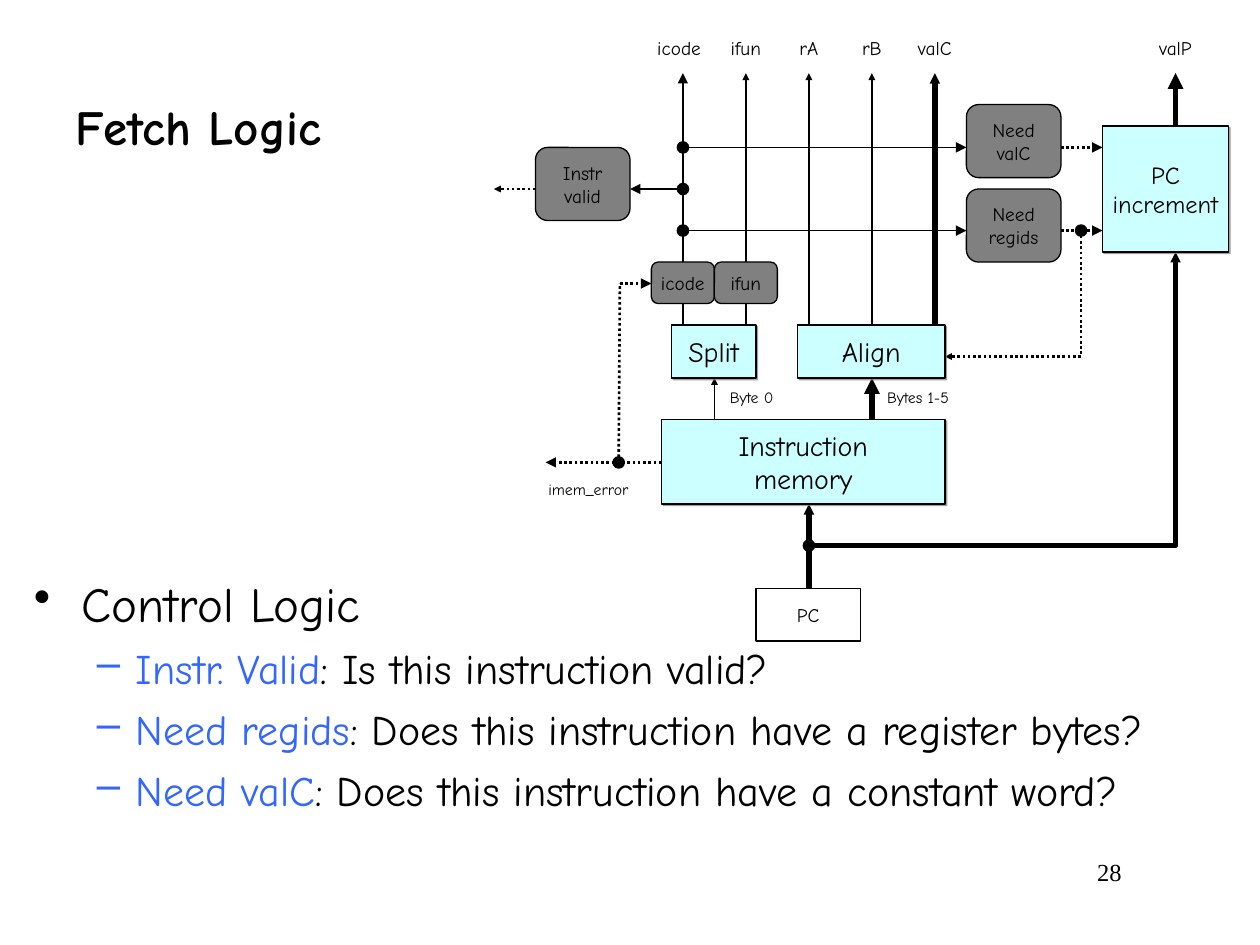
"""Build the Fetch Logic slide: a wiring diagram above a list of control signals."""
import lxml.etree
import pptx
import pptx.dml.color
import pptx.enum.dml
import pptx.enum.shapes
import pptx.enum.text
import pptx.oxml.ns
import pptx.util

Inches, Pt = pptx.util.Inches, pptx.util.Pt
SHAPE = pptx.enum.shapes.MSO_SHAPE
ALIGN = pptx.enum.text.PP_ALIGN
qn = pptx.oxml.ns.qn

THEME = {
    "font": "Comic Neue", "number_font": "Times New Roman",
    "ink": "000000", "accent": "3366FF", "unit": "CCFFFF",
    "control": "808080", "paper": "FFFFFF", "shadow": "808080",
    "title": 28, "topic": 28, "detail": 24, "number": 14,
    "large": 16, "medium": 14, "label": 11, "note": 9,
    "outline": 0.75, "thin": 1, "dotted": 1.5, "thick": 3,
}

TITLE = "Fetch Logic"
PAGE = "28"
TOPIC = "Control Logic"
DETAILS = [
    ("Instr. Valid", ": Is this instruction valid?"),
    ("Need regids", ": Does this instruction have a register bytes?"),
    ("Need valC", ": Does this instruction have a constant word?"),
]

UNITS = [
    ("Instruction\nmemory", (5.25, 3.33, 2.25, 0.67), "large"),
    ("PC\nincrement", (8.75, 1, 1, 1), "medium"),
    ("Align", (6.33, 2.58, 1.17, 0.42), "large"),
    ("Split", (5.33, 2.58, 0.67, 0.42), "large"),
]
CONTROLS = [
    ("Need\nvalC", (7.67, 0.83, 0.75, 0.58)),
    ("Need\nregids", (7.67, 1.5, 0.75, 0.58)),
    ("Instr\nvalid", (4.25, 1.17, 0.75, 0.58)),
    ("icode", (5.17, 2.08, 0.5, 0.33)),
    ("ifun", (5.67, 2.08, 0.5, 0.33)),
]
REGISTER = ("PC", (6, 4.67, 0.83, 0.42))
OUTPUTS = [("icode", 5.39), ("ifun", 5.92), ("rA", 6.42), ("rB", 6.92),
           ("valC", 7.42), ("valP", 9.33)]
NOTES = [("Bytes 1-5", (6.94, 3.03, 0.69, 0.25)),
         ("Byte 0", (5.69, 3.03, 0.55, 0.25))]
ERROR = ("imem_error", (4.17, 3.67, 1, 0.42))

WIRES = [
    ("thick", "med", [(9.33, 1), (9.33, 0.58)]),
    ("thick", "sm", [(6.42, 4.67), (6.42, 4)]),
    ("thick", "sm", [(6.42, 4.33), (9.33, 4.33), (9.33, 2)]),
    ("thick", "sm", [(7.42, 2.58), (7.42, 0.58)]),
    ("thick", "med", [(6.92, 3.33), (6.92, 3)]),
    ("thin", "med", [(5.42, 2.58), (5.42, 0.58)]),
    ("thin", "sm", [(5.92, 2.58), (5.92, 0.58)]),
    ("thin", "sm", [(6.42, 2.58), (6.42, 0.58)]),
    ("thin", "sm", [(6.92, 2.58), (6.92, 0.58)]),
    ("thin", "sm", [(5.67, 3.33), (5.67, 3)]),
    ("thin", "med", [(5.42, 1.17), (7.67, 1.17)]),
    ("thin", "med", [(5.42, 1.83), (7.67, 1.83)]),
    ("thin", "med", [(5.42, 1.5), (5, 1.5)]),
    ("dotted", "med", [(8.42, 1.17), (8.75, 1.17)]),
    ("dotted", "med", [(8.42, 1.83), (8.75, 1.83)]),
    ("dotted", "sm", [(4.25, 1.5), (3.92, 1.5)]),
    ("dotted", "sm", [(8.58, 1.83), (8.58, 2.83), (7.5, 2.83)]),
    ("dotted", "med", [(5.25, 3.67), (4.33, 3.67)]),
    ("dotted", None, [(4.91, 3.67), (4.92, 2.25)]),
    ("dotted", "med", [(4.92, 2.25), (5.17, 2.25)]),
]
JUNCTIONS = [(5.42, 1.17), (5.42, 1.5), (5.42, 1.83), (8.58, 1.83),
             (6.42, 4.33), (4.91, 3.67)]
DOT = 0.09


def rgb(name):
    return pptx.dml.color.RGBColor.from_string(THEME[name])


def add_run(p, text, size, color="ink", font="font", bold=False):
    r = p.add_run()
    r.text = text
    r.font.size, r.font.name, r.font.bold = Pt(THEME[size]), THEME[font], bold
    r.font.color.rgb = rgb(color)


def add_lines(tf, text, size):
    tf.word_wrap = False
    tf.vertical_anchor = pptx.enum.text.MSO_ANCHOR.MIDDLE
    for i, line in enumerate(text.split("\n")):
        p = tf.add_paragraph() if i else tf.paragraphs[0]
        p.alignment = ALIGN.CENTER
        add_run(p, line, size)


def add_textbox(s, at):
    tf = s.shapes.add_textbox(*map(Inches, at)).text_frame
    tf.word_wrap = True
    return tf


def add_box(s, kind, at, fill=None, line=None, text="", size="label"):
    sp = s.shapes.add_shape(kind, *map(Inches, at))
    sp.shadow.inherit = False
    if fill:
        sp.fill.solid()
        sp.fill.fore_color.rgb = rgb(fill)
    else:
        sp.fill.background()
    if line:
        sp.line.color.rgb = rgb("ink")
        sp.line.width = Pt(THEME[line])
    else:
        sp.line.fill.background()
    if text:
        add_lines(sp.text_frame, text, size)
    return sp


def add_shadow(sp):
    effects = sp._element.spPr.find(qn("a:effectLst"))
    shadow = lxml.etree.SubElement(effects, qn("a:outerShdw"), blurRad="0", dist=str(Pt(1.4)),
                                   dir="2700000", algn="ctr", rotWithShape="0")
    color = lxml.etree.SubElement(shadow, qn("a:srgbClr"), val=THEME["shadow"])
    lxml.etree.SubElement(color, qn("a:alpha"), val="75000")


def add_wire(s, weight, arrow, points):
    points = [(Inches(x), Inches(y)) for x, y in points]
    if len(points) == 2:
        sp = s.shapes.add_connector(pptx.enum.shapes.MSO_CONNECTOR.STRAIGHT, *points[0], *points[1])
    else:
        builder = s.shapes.build_freeform(*points[0])
        builder.add_line_segments(points[1:], close=False)
        sp = builder.convert_to_shape()
        sp.fill.background()
    sp.line.color.rgb = rgb("ink")
    sp.line.width = Pt(THEME[weight])
    if weight == "dotted":
        sp.line.dash_style = pptx.enum.dml.MSO_LINE.ROUND_DOT
    if arrow:
        lxml.etree.SubElement(sp.line._get_or_add_ln(), qn("a:tailEnd"),
                              type="triangle", w=arrow, len=arrow)
    lxml.etree.SubElement(sp._element.spPr, qn("a:effectLst"))


def set_bullet(p, char, color, margin, hang):
    pPr = p._p.get_or_add_pPr()
    pPr.set("marL", str(Inches(margin)))
    pPr.set("indent", str(Inches(-hang)))
    tint = lxml.etree.SubElement(pPr, qn("a:buClr"))
    lxml.etree.SubElement(tint, qn("a:srgbClr"), val=THEME[color])
    lxml.etree.SubElement(pPr, qn("a:buChar"), char=char)


def add_texts(s):
    p = add_textbox(s, (7.58, 6.75, 1.42, 0.5)).paragraphs[0]
    p.alignment = ALIGN.RIGHT
    add_run(p, PAGE, "number", font="number_font")
    tf = add_textbox(s, (0.5, 0.5, 8.83, 1))
    tf.vertical_anchor = pptx.enum.text.MSO_ANCHOR.MIDDLE
    add_run(tf.paragraphs[0], TITLE, "title", bold=True)
    tf = add_textbox(s, (0.17, 4.5, 9.58, 2.92))
    set_bullet(tf.paragraphs[0], "•", "ink", 0.38, 0.38)
    add_run(tf.paragraphs[0], TOPIC, "topic")
    for name, question in DETAILS:
        p = tf.add_paragraph()
        p.level, p.space_before = 1, Pt(6)
        set_bullet(p, "–", "accent", 0.81, 0.31)
        add_run(p, name, "detail", "accent")
        add_run(p, question, "detail")


def add_diagram(s):
    for text, x in OUTPUTS:
        add_box(s, SHAPE.OVAL, (x - 0.25, 0.17, 0.5, 0.42), "paper", text=text)
    for wire in WIRES:
        add_wire(s, *wire)
    for text, at, size in UNITS:
        add_shadow(add_box(s, SHAPE.RECTANGLE, at, "unit", "outline", text, size))
    for text, at in CONTROLS:
        add_box(s, SHAPE.ROUNDED_RECTANGLE, at, "control", "outline", text)
    add_box(s, SHAPE.RECTANGLE, REGISTER[1], "paper", "thin", REGISTER[0])
    add_box(s, SHAPE.OVAL, ERROR[1], text=ERROR[0], size="note")
    for text, at in NOTES:
        add_lines(add_textbox(s, at), text, "note")
    for x, y in JUNCTIONS:
        add_box(s, SHAPE.OVAL, (x - DOT / 2, y - DOT / 2, DOT, DOT), "ink", "outline")


def main():
    prs = pptx.Presentation()
    prs.slide_width, prs.slide_height = Inches(10), Inches(7.5)
    s = prs.slides.add_slide(prs.slide_layouts[6])
    add_texts(s)
    add_diagram(s)
    prs.save("out.pptx")


if __name__ == "__main__":
    main()
